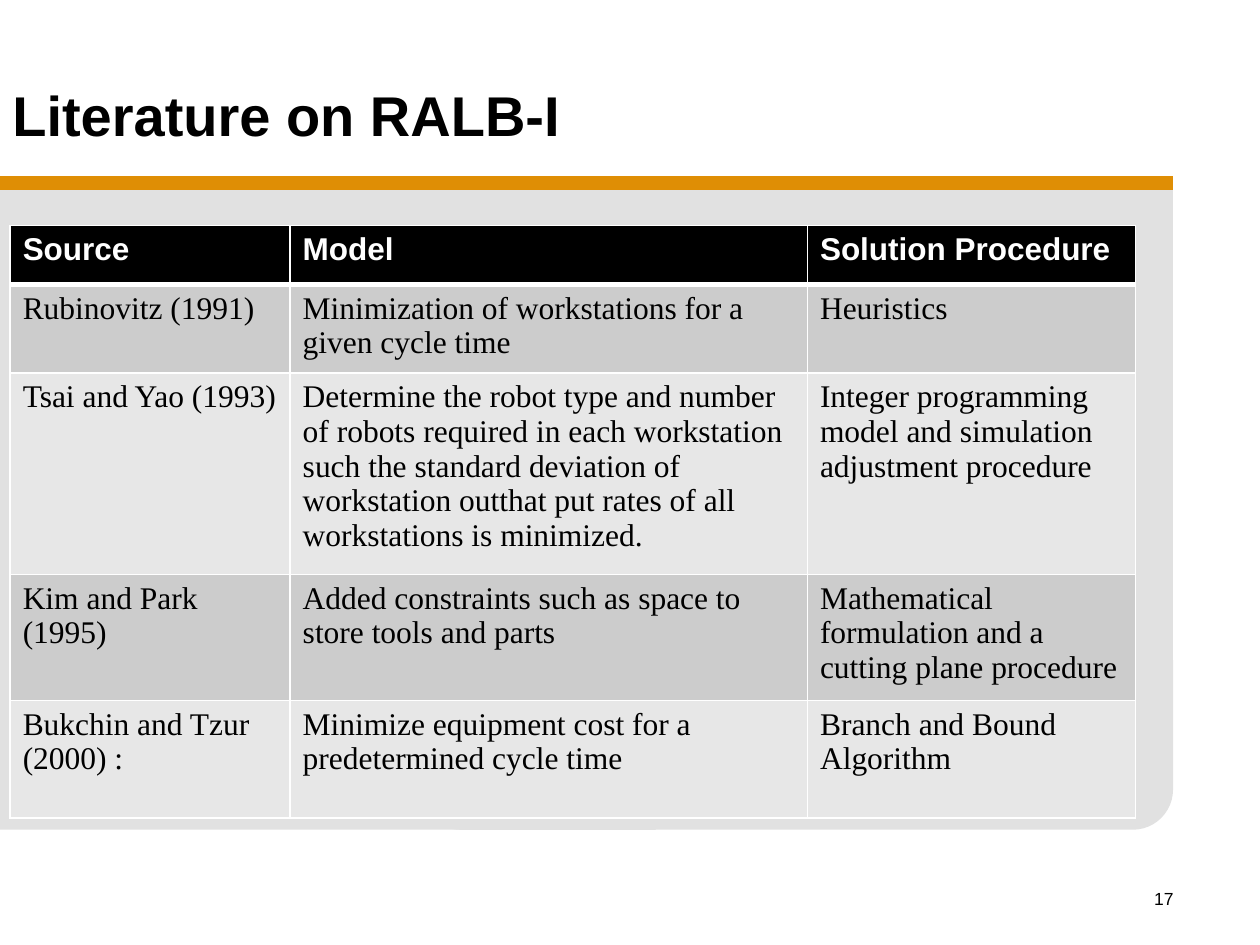
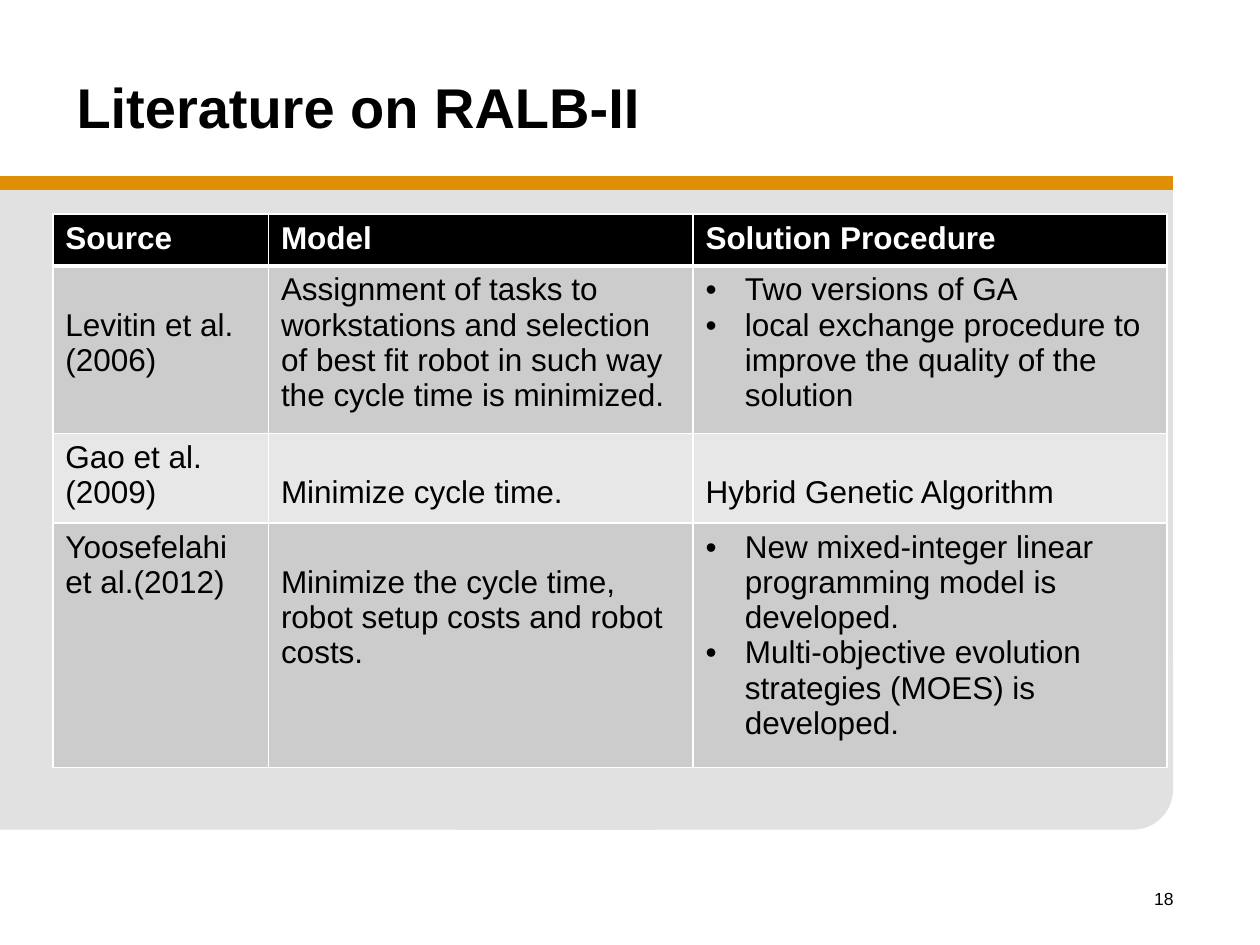
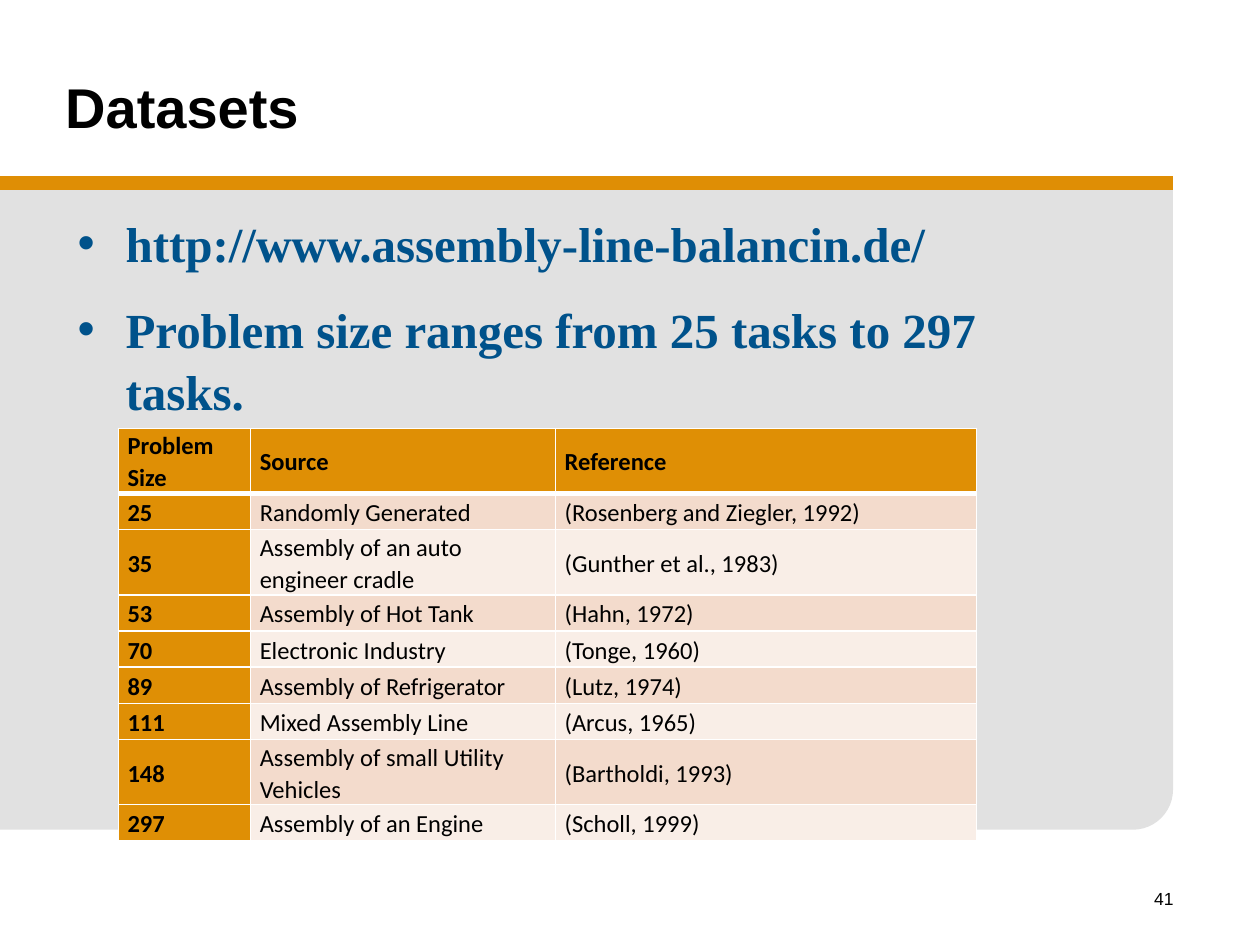
from dataclasses import dataclass

from lxml.etree import SubElement
from pptx import Presentation
from pptx.dml.color import RGBColor
from pptx.enum.shapes import MSO_CONNECTOR, MSO_SHAPE
from pptx.enum.text import MSO_ANCHOR, PP_ALIGN
from pptx.oxml.ns import qn
from pptx.util import Pt

COLORS = {
    "black": "000000",
    "white": "FFFFFF",
    "panel": "E1E1E1",
    "rule": "DF8E05",
    "gray": "CCCCCC",
    "light_gray": "E7E7E7",
    "orange": "DF8F05",
    "peach": "F3DBCC",
    "light_peach": "F9EEE7",
    "blue": "00528B",
}
SANS, SERIF, TABLE_SANS = "Arial", "Times New Roman", "Calibri"
PANEL_RIGHT = 670.3
TITLE_BOX = (30.2, 12.2, 648, 97.2)
LINE = 20.2  # height of one line of 18 pt table text
HEADINGS = ("Source", "Model", "Solution Procedure")


@dataclass
class TableStyle:
    header_fill: str
    header_color: str
    bands: tuple
    size: float
    header_font: str = SANS
    body_font: str = SANS
    margins: tuple = (7.2, 3.6, 7.2, 3.6)
    anchor: MSO_ANCHOR = MSO_ANCHOR.TOP
    spacing: float = 1.0
    first_column: bool = False


GRAY_SANS = TableStyle("black", "white", ("gray", "light_gray"), 18)
GRAY_SERIF = TableStyle("black", "white", ("gray", "light_gray"), 18, body_font=SERIF)
ORANGE = TableStyle(
    "orange", "black", ("peach", "light_peach"), 14, TABLE_SANS, TABLE_SANS,
    (5.2, 0.6, 5.2, 0), MSO_ANCHOR.MIDDLE, 1.07, True,
)

RALB_1 = [
    HEADINGS,
    ("Rubinovitz (1991)",
     "Minimization of workstations for a given cycle time",
     "Heuristics"),
    ("Tsai and Yao (1993)",
     "Determine the robot type and number of robots required in each workstation "
     "such the standard deviation of workstation outthat put rates of all "
     "workstations is minimized.",
     "Integer programming model and simulation adjustment procedure"),
    ("Kim and Park (1995)",
     "Added constraints such as space to store tools and parts",
     "Mathematical formulation and a cutting plane procedure"),
    ("Bukchin and Tzur (2000) :",
     "Minimize equipment cost for a predetermined cycle time",
     "Branch and Bound Algorithm"),
]
RALB_2 = [
    HEADINGS,
    ("Levitin et al.\n(2006)",
     "Assignment of tasks to workstations and selection of best fit robot in such "
     "way the cycle time is minimized.",
     "Two versions of GA\n"
     "local exchange procedure to improve the quality of the solution"),
    ("Gao et al.(2009)", "Minimize cycle time.", "Hybrid Genetic Algorithm"),
    ("Yoosefelahi et al.(2012)",
     "Minimize the cycle time, robot setup costs and robot costs.",
     "New mixed-integer linear programming model is developed.\n"
     "Multi-objective evolution strategies (MOES) is developed."),
]
RALB_2_BULLETED = [(1, 2), (3, 2)]
RALB_2_LOWERED = [(1, 0), (2, 1), (2, 2), (3, 1)]
DATASETS = [
    ("Problem Size", "Source", "Reference"),
    ("25", "Randomly Generated", "(Rosenberg and Ziegler, 1992)"),
    ("35", "Assembly of an auto engineer cradle", "(Gunther et al., 1983)"),
    ("53", "Assembly of Hot Tank", "(Hahn, 1972)"),
    ("70", "Electronic Industry", "(Tonge, 1960)"),
    ("89", "Assembly of Refrigerator", "(Lutz, 1974)"),
    ("111", "Mixed Assembly Line", "(Arcus, 1965)"),
    ("148", "Assembly of small Utility Vehicles", "(Bartholdi, 1993)"),
    ("297", "Assembly of an Engine", "(Scholl, 1999)"),
]
DATASET_NOTES = (
    "http://www.assembly-line-balancin.de/\n"
    "Problem size ranges from 25 tasks to 297 tasks."
)


def rgb(name):
    return RGBColor.from_string(COLORS[name])


def points(values):
    return [Pt(value) for value in values]


def write(frame, text, font, size, color, bold=False):
    frame.text = text
    frame.word_wrap = True
    for para in frame.paragraphs:
        for span in para.runs:
            span.font.name = font
            span.font.size = Pt(size)
            span.font.bold = bold
            span.font.color.rgb = rgb(color)
    return frame


def indent(para, left, first=0.0):
    props = para._p.get_or_add_pPr()
    props.set("marL", str(Pt(left)))
    props.set("indent", str(Pt(first)))
    return props


def add_bullets(frame, left, hang):
    for para in frame.paragraphs:
        props = indent(para, left, -hang)
        SubElement(props, qn("a:buFont"), typeface=SANS)
        SubElement(props, qn("a:buChar"), char="•")


def add_panel(page):
    """Gray panel with only its lower right corner rounded, under an orange rule."""
    top, bottom = 107.3, 474.2
    corner_left, corner_top = 239.8, 336.2
    parts = [
        (MSO_SHAPE.RECTANGLE, 0, top, PANEL_RIGHT, 313.9),
        (MSO_SHAPE.ROUNDED_RECTANGLE, corner_left, corner_top,
         PANEL_RIGHT - corner_left, bottom - corner_top),
        (MSO_SHAPE.RECTANGLE, 0, 197.3, 298.1, bottom - 197.3),
    ]
    for kind, *box in parts:
        part = page.shapes.add_shape(kind, *points(box))
        part.shadow.inherit = False
        part.fill.solid()
        part.fill.fore_color.rgb = rgb("panel")
        part.line.fill.background()

    rule_y = Pt(104.4)
    rule = page.shapes.add_connector(
        MSO_CONNECTOR.STRAIGHT, 0, rule_y, Pt(PANEL_RIGHT), rule_y)
    rule.line.color.rgb = rgb("rule")
    rule.line.width = Pt(8)
    SubElement(rule._element.spPr, qn("a:effectLst"))


def add_title(page, text, box, left_indent):
    frame = page.shapes.add_textbox(*points(box)).text_frame
    write(frame, text, SANS, 32, "black", bold=True)
    frame.vertical_anchor = MSO_ANCHOR.MIDDLE
    indent(frame.paragraphs[0], left_indent)


def add_page_number(page, number):
    frame = page.shapes.add_textbox(*points((527.8, 504, 149.8, 36))).text_frame
    write(frame, str(number), SANS, 10, "black")
    frame.paragraphs[0].alignment = PP_ALIGN.RIGHT


def add_page(deck, title, number, title_box=TITLE_BOX, title_indent=0.0):
    page = deck.slides.add_slide(deck.slide_layouts[6])
    add_panel(page)
    add_page_number(page, number)
    add_title(page, title, title_box, title_indent)
    return page


def set_borders(cell, row):
    """White borders, with a heavy one between the header and the body."""
    heavy_side = {0: "B", 1: "T"}.get(row)
    props = cell._tc.get_or_add_tcPr()
    for position, side in enumerate("LRTB"):
        width = 3 if side == heavy_side else 1
        line = SubElement(props, qn(f"a:ln{side}"), w=str(Pt(width)))
        fill = SubElement(line, qn("a:solidFill"))
        SubElement(fill, qn("a:srgbClr"), val=COLORS["white"])
        props.insert(position, line)


def style_cell(cell, text, row, column, style):
    is_header = row == 0
    is_strong = is_header or (style.first_column and column == 0)
    write(cell.text_frame, text,
          style.header_font if is_header else style.body_font, style.size,
          style.header_color if is_header else "black", is_strong)
    for para in cell.text_frame.paragraphs:
        para.line_spacing = style.spacing
    cell.vertical_anchor = style.anchor
    (cell.margin_left, cell.margin_top,
     cell.margin_right, cell.margin_bottom) = points(style.margins)
    cell.fill.solid()
    cell.fill.fore_color.rgb = rgb(
        style.header_fill if is_strong else style.bands[(row - 1) % 2])
    set_borders(cell, row)


def add_grid(page, left, top, widths, heights, rows, style):
    box = points((left, top, sum(widths), sum(heights)))
    table = page.shapes.add_table(len(rows), len(widths), *box).table
    for column, width in zip(table.columns, widths):
        column.width = Pt(width)
    for row, height in zip(table.rows, heights):
        row.height = Pt(height)
    for r, texts in enumerate(rows):
        for c, text in enumerate(texts):
            style_cell(table.cell(r, c), text, r, c, style)
    return table


def add_ralb_1_page(deck):
    page = add_page(deck, "Literature on RALB-I", 17, (0, 31, 339.8, 68.4))
    add_grid(page, 5.8, 128.9, (160, 295.6, 187.6), (33.8, 47, 107, 67, 67),
             RALB_1, GRAY_SERIF)


def add_ralb_2_page(deck):
    page = add_page(deck, "Literature on RALB-II", 18, title_indent=6.5)
    table = add_grid(page, 30.2, 122.4, (123.2, 242.6, 270.8), (29.6, 95.6, 51.4, 139.6),
                     RALB_2, GRAY_SANS)
    for position in RALB_2_BULLETED:
        add_bullets(table.cell(*position).text_frame, 22.5, 22.5)
    for position in RALB_2_LOWERED:
        table.cell(*position).margin_top = Pt(3.6 + LINE)


def add_datasets_page(deck):
    page = add_page(deck, "Datasets", 41)
    notes = page.shapes.add_textbox(*points((30.2, 116.6, 599, 304.6))).text_frame
    write(notes, DATASET_NOTES, SERIF, 28, "blue", bold=True)
    for para in notes.paragraphs:
        para.line_spacing = 1.05
    notes.paragraphs[1].space_before = Pt(14)
    add_bullets(notes, 34.5, 27.4)

    two_line_rows = (0, 2, 7)
    heights = [37.2 if r in two_line_rows else 20.7 for r in range(len(DATASETS))]
    add_grid(page, 67.7, 244.8, (75.6, 174.2, 240.5), heights, DATASETS, ORANGE)


def main():
    deck = Presentation()
    deck.slide_width, deck.slide_height = Pt(720), Pt(540)
    add_ralb_1_page(deck)
    add_ralb_2_page(deck)
    add_datasets_page(deck)
    deck.save("out.pptx")


if __name__ == "__main__":
    main()
